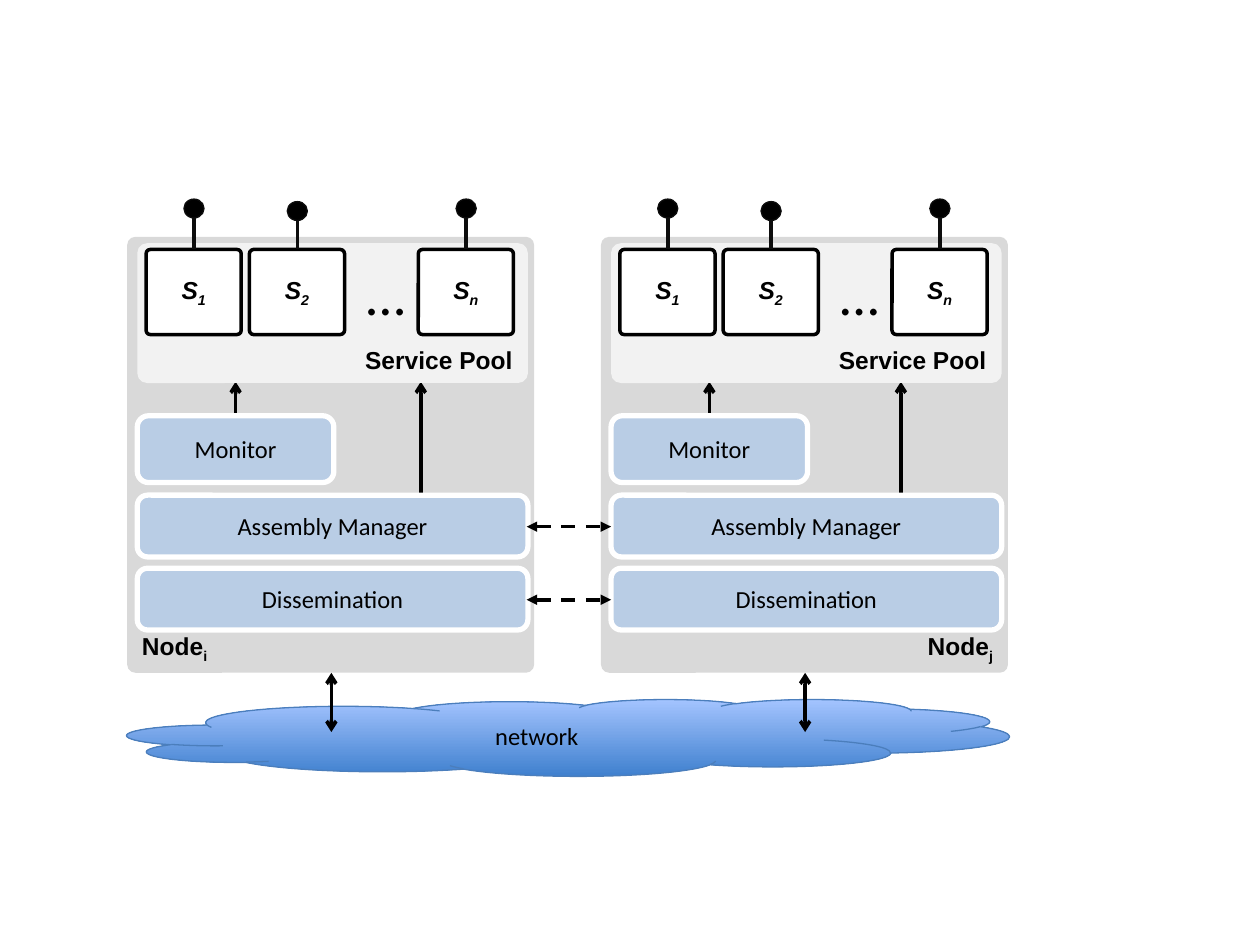
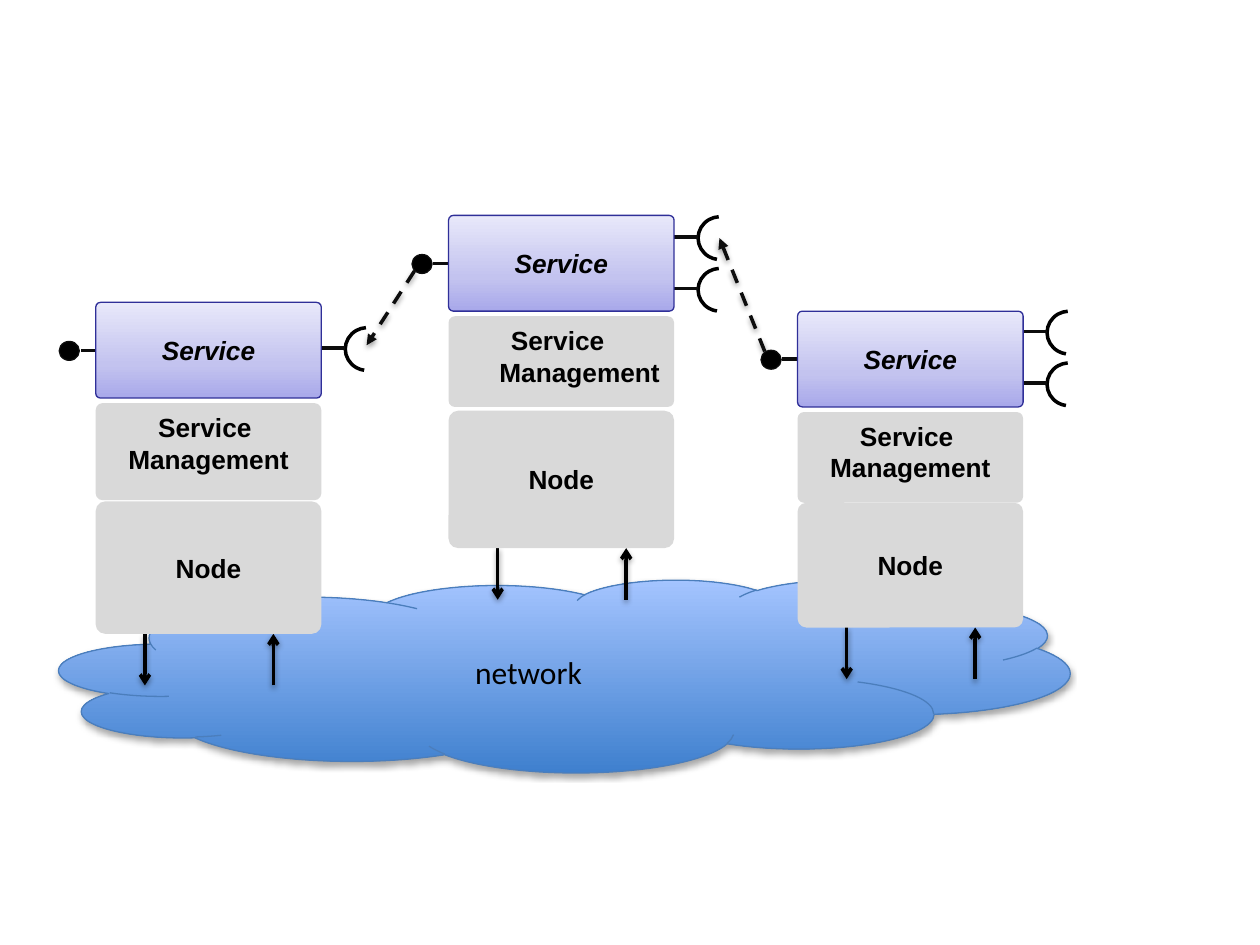
import pptx
import pptx.util
import pptx.dml.color
import pptx.enum.dml
import pptx.enum.shapes
import pptx.enum.text
import pptx.oxml
import pptx.oxml.ns
from lxml import etree

Pt = pptx.util.Pt
RGB = pptx.dml.color.RGBColor.from_string
MSO = pptx.enum.shapes.MSO_SHAPE
ALIGN = pptx.enum.text.PP_ALIGN
ANCHOR = pptx.enum.text.MSO_ANCHOR
qn = pptx.oxml.ns.qn

# Shared look
COLORS = {
    "black": "000000", "ink": "0D0D0D", "white": "FFFFFF",
    "panel": "D9D9D9", "pool": "F2F2F2", "layer": "B9CDE5",
    "cloud_line": "4B7EBC", "cloud_dark": "3F80CE", "cloud_light": "A4C4FF",
    "service_line": "2F2F98", "service_top": "E8E8FA",
    "service_mid": "C3C3EF", "service_low": "A8A8EA",
}
# Gradients: counterclockwise angle, then (percent, colour) stops
GRADIENTS = {
    "cloud": (90, [(0, "cloud_dark"), (100, "cloud_light")]),
    "service": (270, [(0, "service_top"), (65, "service_mid"), (100, "service_low")]),
}
FONTS = {
    "layer": {"name": "Calibri", "size": Pt(14)},
    "network": {"name": "Calibri", "size": Pt(18)},
    "dots": {"name": "Calibri", "size": Pt(32)},
    "label": {"name": "Arial", "size": Pt(14), "bold": True},
    "symbol": {"name": "Arial", "size": Pt(14), "bold": True, "italic": True},
    "block": {"name": "Arial", "size": Pt(15), "bold": True},
    "service": {"name": "Arial", "size": Pt(15), "bold": True, "italic": True},
}
SHADOW = ('<a:outerShdw xmlns:a="http://schemas.openxmlformats.org/drawingml/2006/main" '
          'blurRad="40000" dist="{}" dir="5400000" rotWithShape="0">'
          '<a:srgbClr val="000000"><a:alpha val="{}"/></a:srgbClr></a:outerShdw>')

prs = pptx.Presentation()
prs.slide_width, prs.slide_height = pptx.util.Inches(10), pptx.util.Inches(7.5)
CELL = prs.slide_width / 100  # grid of 100 columns by 75 rows


def add_shape(s, kind, box, fill=None, line=None, text=(), font="layer",
              align=ALIGN.CENTER, anchor=ANCHOR.MIDDLE, wrap=False, adj=(),
              rotation=0, shadow=False):
    """Shape on the grid; line is (colour, points), text is (word, subscript) pairs."""
    sp = s.shapes.add_shape(kind, *[round(v * CELL) for v in box])
    sp.rotation = rotation
    for i, value in enumerate(adj):
        sp.adjustments[i] = value
    if fill in GRADIENTS:
        angle, stops = GRADIENTS[fill]
        sp.fill.gradient()
        sp.fill.gradient_angle = angle
        gs_list = sp._element.spPr.find(qn("a:gradFill")).find(qn("a:gsLst"))
        for gs in list(gs_list):
            gs_list.remove(gs)
        for pos, color in stops:
            gs = etree.SubElement(gs_list, qn("a:gs"), pos=str(pos * 1000))
            etree.SubElement(gs, qn("a:srgbClr"), val=COLORS[color])
    elif fill:
        sp.fill.solid()
        sp.fill.fore_color.rgb = RGB(COLORS[fill])
    else:
        sp.fill.background()
    if line:
        sp.line.color.rgb = RGB(COLORS[line[0]])
        sp.line.width = Pt(line[1])
    else:
        sp.line.fill.background()
    sp.shadow.inherit = False
    if shadow:
        effects = sp._element.spPr.find(qn("a:effectLst"))
        effects.append(pptx.oxml.parse_xml(SHADOW.format(23000, 35000)))
    tf = sp.text_frame
    tf.word_wrap, tf.vertical_anchor = wrap, anchor
    aligns = align if isinstance(align, list) else [align] * len(text)
    for i, (word, sub) in enumerate(text):
        p = tf.add_paragraph() if i else tf.paragraphs[0]
        p.alignment = aligns[i]
        for part in filter(None, (word, sub)):
            r = p.add_run()
            r.text = part
            r.font.color.rgb = RGB(COLORS["black"])
            for name, value in FONTS[font].items():
                setattr(r.font, name, value)
            if part is sub:
                r._r.get_or_add_rPr().set("baseline", "-25000")
    return sp


def add_line(s, x1, y1, x2, y2, color="black", head=None, tail=None,
             dash=False, shadow=False):
    """Straight connector on the grid, 2 points wide."""
    c = s.shapes.add_connector(pptx.enum.shapes.MSO_CONNECTOR.STRAIGHT,
                               *[round(v * CELL) for v in (x1, y1, x2, y2)])
    c.line.color.rgb = RGB(COLORS[color])
    c.line.width = Pt(2)
    if dash:
        c.line.dash_style = pptx.enum.dml.MSO_LINE.DASH
    ln = c.line._get_or_add_ln()
    for tag, kind in (("a:headEnd", head), ("a:tailEnd", tail)):
        if kind:
            etree.SubElement(ln, qn(tag), type=kind)
    effects = etree.SubElement(c._element.spPr, qn("a:effectLst"))
    if shadow:
        effects.append(pptx.oxml.parse_xml(SHADOW.format(20000, 38000)))


# Slide 1: two nodes over a network
s = prs.slides.add_slide(prs.slide_layouts[6])
add_shape(s, MSO.CLOUD, (10.1, 55.5, 70, 6.1), "cloud", ("cloud_line", 0.75),
          [("network", "")], wrap=True)

for left, sub, align, manager_x in ((10.1, "i", ALIGN.LEFT, 23.3),
                                    (47.7, "j", ALIGN.RIGHT, 23.8)):
    inner = left + 0.8
    # Node panel and its link to the network
    add_shape(s, MSO.ROUNDED_RECTANGLE, (left, 18.8, 32.3, 34.6), "panel",
              text=[("Node", sub)], font="label", align=align,
              anchor=ANCHOR.BOTTOM, adj=[0.02])
    add_line(s, left + 16.2, 58.1, left + 16.2, 53.4, head="arrow", tail="arrow")

    # Service pool
    add_line(s, left + 8.6, 33, left + 8.6, 30.3, tail="arrow")
    add_line(s, left + manager_x, 39.3, left + manager_x, 30.3, tail="arrow")
    add_shape(s, MSO.ROUNDED_RECTANGLE, (inner, 19.3, 31, 11.1), "pool",
              text=[("Service Pool", "")], font="label", align=ALIGN.RIGHT,
              anchor=ANCHOR.BOTTOM, adj=[0.07])
    for name, x, ball_y in (("1", 1.5, 15.8), ("2", 9.7, 16), ("n", 23.1, 15.8)):
        middle = left + x + 3.8
        add_shape(s, MSO.ROUNDED_RECTANGLE, (left + x, 19.8, 7.55, 6.75), "white",
                  ("black", 2), [("S", name)], "symbol", adj=[0.05])
        add_line(s, middle, 19.8, middle, ball_y + 1.5, "ink")
        add_shape(s, MSO.OVAL, (middle - 0.8, ball_y, 1.6, 1.5), "black", ("ink", 0.75))
    add_shape(s, MSO.RECTANGLE, (left + 18, 20.1, 5.1, 6.4), text=[("…", "")],
              font="dots", align=ALIGN.LEFT)

    # Layers of the node
    for name, top, width, height in (("Monitor", 33, 15.6, 5.3),
                                     ("Assembly Manager", 39.3, 31, 4.9),
                                     ("Dissemination", 45.1, 31, 4.9)):
        add_shape(s, MSO.ROUNDED_RECTANGLE, (inner, top, width, height), "layer",
                  ("white", 3), [(name, "")], wrap=True)

# Links between matching layers
for y in (41.8, 47.6):
    add_line(s, 41.8, y, 48.5, y, head="triangle", tail="triangle", dash=True)

# Slide 2: services linked across three nodes
s = prs.slides.add_slide(prs.slide_layouts[6])
add_shape(s, MSO.CLOUD, (4.7, 46, 80.2, 15.3), "cloud", ("cloud_line", 0.75),
          [("network", "")], "network", wrap=True, shadow=True)

# left, service top, management height, node top, node height, port tops, alignment
stacks = (
    (7.6, 24, 7.7, 39.8, 10.5, [26], ALIGN.CENTER),
    (35.6, 17.1, 7.2, 32.6, 10.9, [17.2, 21.3], ALIGN.RIGHT),
    (63.3, 24.7, 7.2, 39.9, 9.9, [24.7, 28.8], ALIGN.CENTER),
)
for left, top, manage_h, node_top, node_h, ports, align in stacks:
    bottom = node_top + node_h
    # Traffic to and from the network
    add_line(s, left + 3.9, bottom, left + 3.9, bottom + 4.1, tail="arrow", shadow=True)
    add_line(s, left + 14.1, bottom + 4.1, left + 14.1, bottom, tail="arrow", shadow=True)

    # Offered interface on the left, required ones on the right
    add_line(s, left + 1.7, top + 3.8, left - 1.2, top + 3.8, "ink")
    add_shape(s, MSO.OVAL, (left - 2.9, top + 3.1, 1.6, 1.5), "black", ("ink", 0.75))
    for y in ports:
        add_shape(s, MSO.ARC, (left + 19.8, y, 3.5, 3.4), line=("black", 2),
                  adj=[167.1, 51.78], rotation=180)
        add_line(s, left + 19.8, y + 1.6, left + 16.6, y + 1.6, "ink")

    # Stack of service, management and node
    add_shape(s, MSO.ROUNDED_RECTANGLE, (left, top, 17.9, 7.6), "service",
              ("service_line", 0.75), [("Service", "")], "service", adj=[0.05])
    add_shape(s, MSO.ROUNDED_RECTANGLE, (left, top + 8, 17.9, manage_h), "panel",
              text=[("Service ", ""), ("Management", "")], font="block",
              align=[ALIGN.CENTER, align], anchor=ANCHOR.TOP, adj=[0.07])
    add_shape(s, MSO.ROUNDED_RECTANGLE, (left, node_top, 17.9, node_h), "panel",
              text=[("Node", "")], font="block", adj=[0.07])

# Bindings between services
for ends in ((60.7, 27.9, 57.1, 18.9), (32.9, 21.5, 29.1, 27.4)):
    add_line(s, *ends, "ink", tail="triangle", dash=True, shadow=True)

prs.save("out.pptx")
